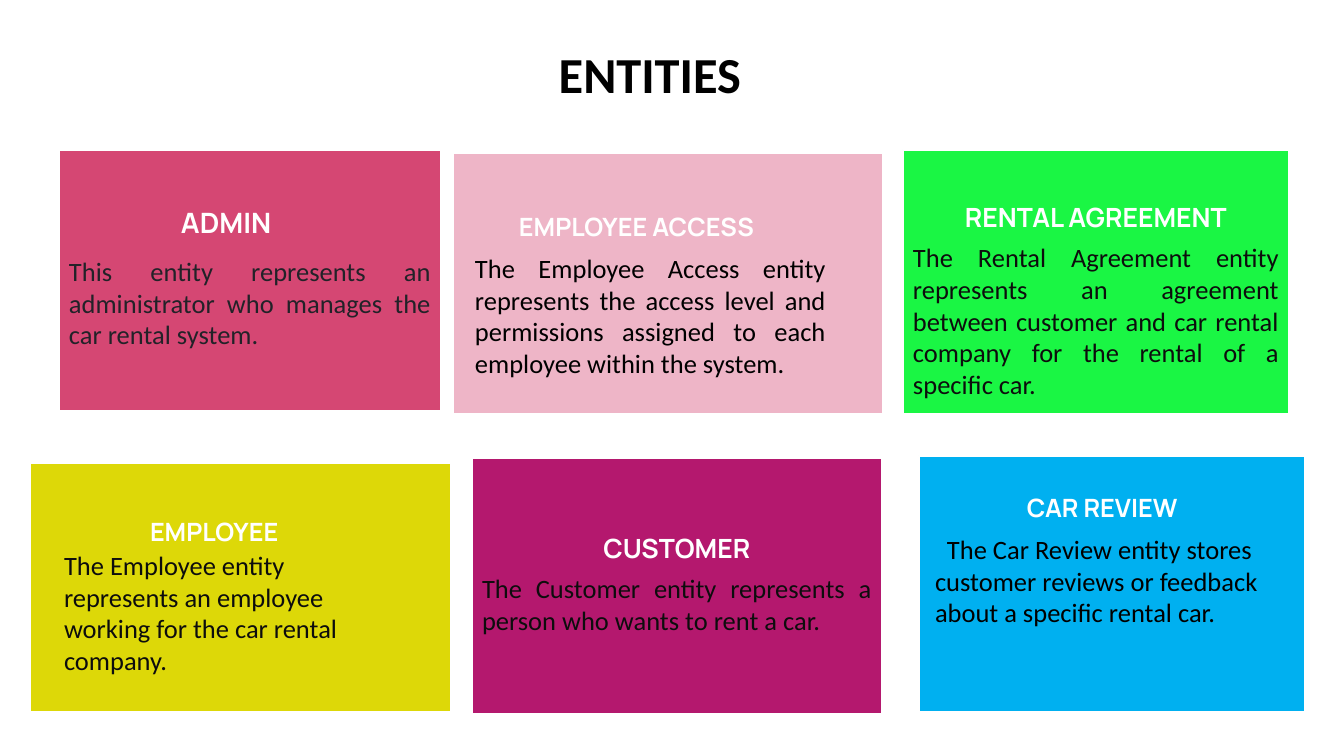
"""Build the slide of car rental entities."""
from pptx import Presentation
from pptx import util as u
from pptx.dml.color import RGBColor
from pptx.enum import shapes, text

SCALE = 914400 / 100.8
LEFT, MID, JUST = text.PP_ALIGN.LEFT, text.PP_ALIGN.CENTER, text.PP_ALIGN.JUSTIFY
BODY = 18.9

CARDS = [
    ((919, 456, 386, 256), "00B0F0"),
    ((30, 463, 421, 249), "DDD808"),
    ((453, 153, 430, 261), "EEB5C7"),
    ((472, 458, 410, 256), "B4186E"),
    ((59, 150, 382, 261), "D54773"),
    ((903, 150, 386, 264), "1AF644"),
]
REVIEW, STAFF, ACCESS, CLIENT, ADMIN, RENTAL = range(len(CARDS))

HEADS = [
    ("ADMIN", (171, 200, 175, 46), 20),
    ("EMPLOYEE", (140, 511, 161, 43), 18),
    ("EMPLOYEE ACCESS", (509, 206, 316, 40), 18),
    ("CAR REVIEW", (1017, 487, 250, 40), 18),
]


def px(num):
    """Turn pixels into EMU."""
    return u.Emu(round(num * SCALE))


def paint(code):
    """Turn a hex string into a colour."""
    return RGBColor.from_string(code)


def card(slide, area, fill):
    """Draw a filled card with a thin white edge."""
    box = slide.shapes.add_shape(shapes.MSO_SHAPE.RECTANGLE, *map(px, area))
    box.shadow.inherit = False
    box.fill.solid()
    box.fill.fore_color.rgb = paint(fill)
    box.line.color.rgb = paint("FFFFFF")
    box.line.width = u.Pt(1)
    return box


def label(slide, area):
    """Add an empty text box that wraps."""
    return slide.shapes.add_textbox(*map(px, area))


def write(box, words, top=5, size=BODY, font="Calibri", color="0D0D0D",
          bold=False, align=LEFT, after=6, indent=0):
    """Add a paragraph to a shape, starting at a given inset if it is the first."""
    frame = box.text_frame
    if frame.text:
        para = frame.add_paragraph()
    else:
        para = frame.paragraphs[0]
        frame.word_wrap = True
        frame.vertical_anchor = text.MSO_ANCHOR.TOP
        frame.margin_left = frame.margin_right = px(10)
        frame.margin_top, frame.margin_bottom = px(top), px(5)
    para.alignment = align
    para.space_after = u.Pt(after)
    if indent:
        para._p.get_or_add_pPr().set("indent", str(px(indent)))
    run = para.add_run()
    run.text = words
    run.font.name, run.font.size, run.font.bold = font, u.Pt(size), bold
    run.font.color.rgb = paint(color)


def head(box, words, **form):
    """Write a white card heading."""
    write(box, words, font="Manrope", color="FFFFFF", bold=True, **form)


def main():
    """Build and save the slide."""
    deck = Presentation()
    deck.slide_width, deck.slide_height = px(1344), px(756)
    slide = deck.slides.add_slide(deck.slide_layouts[6])

    write(label(slide, (263, 38, 774, 72)), "ENTITIES",
          size=36, color="000000", bold=True, align=MID)
    cards = [card(slide, area, fill) for area, fill in CARDS]

    write(cards[ADMIN], "This entity represents an administrator who manages "
          "the car rental system.", top=105, color="222228", align=JUST)
    head(cards[RENTAL], "RENTAL AGREEMENT", top=51, size=BODY, align=MID)
    write(cards[RENTAL], "The Rental Agreement entity represents an agreement "
          "between customer and car rental company for the rental of a "
          "specific car.", align=JUST)
    head(cards[CLIENT], "CUSTOMER", top=74, size=BODY, align=MID)
    write(cards[CLIENT], "The Customer entity represents a person who wants "
          "to rent a car.", align=JUST)

    write(label(slide, (465, 247, 371, 138)),
          "The Employee Access entity represents the access level and "
          "permissions assigned to each employee within the system.",
          color="000000", align=JUST)
    write(label(slide, (54, 544, 350, 138)),
          "The Employee entity represents an employee working for the car "
          "rental company.")
    write(label(slide, (925, 528, 375, 107)),
          "The Car Review entity stores customer reviews or feedback about "
          "a specific rental car.", color="000000", indent=12)
    for words, area, size in HEADS:
        head(label(slide, area), words, size=size, after=0)

    deck.save("out.pptx")


if __name__ == "__main__":
    main()
